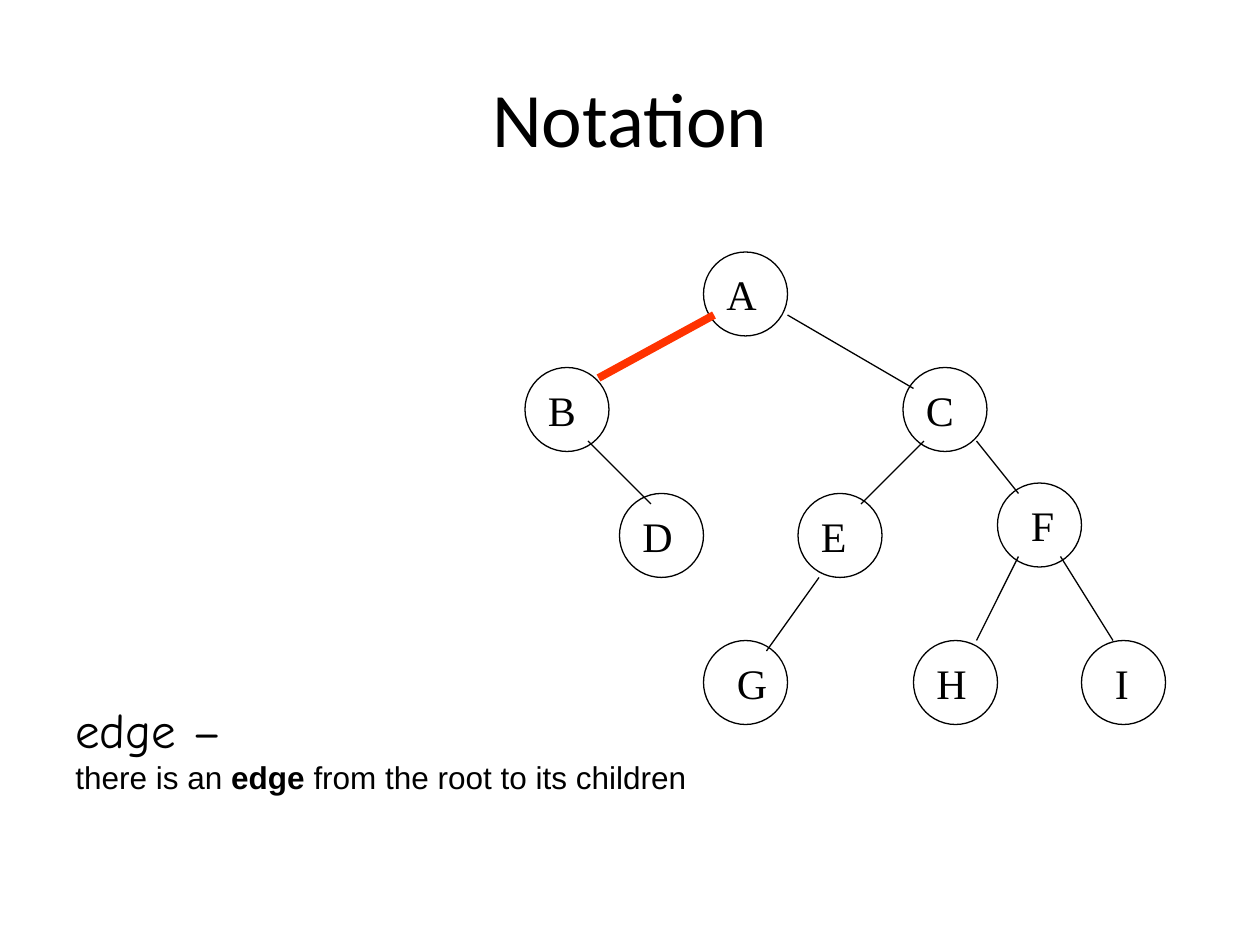
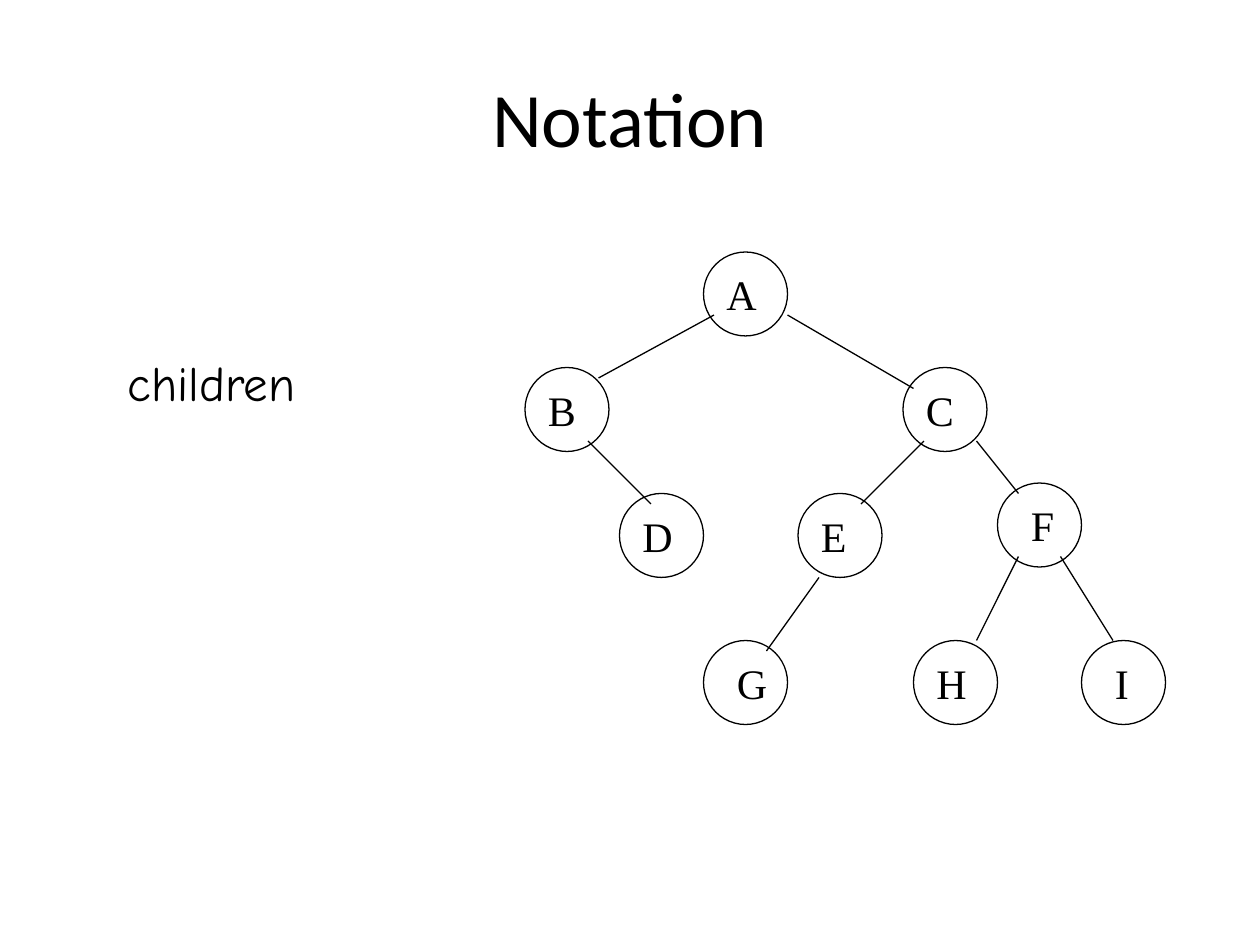
import pptx
import pptx.dml.color
import pptx.enum.shapes
import pptx.enum.text
import pptx.oxml.ns
import pptx.util
from lxml import etree

EMU_PER_PX = 9525
COLORS = {"ink": "000000", "highlight": "FF3300"}
FONTS = {"title": "Calibri", "node": "Times New Roman", "term": "Comic Neue", "body": "Arial"}

NODE_SIZE = 64
LABEL_HEIGHT = 48
LABEL_DROP = 8
# node: (left, top, label inset, label width)
NODES = {
    "A": (536, 192, 8, 42),
    "B": (400, 280, 8, 40),
    "C": (688, 280, 8, 40),
    "D": (472, 376, 8, 42),
    "E": (608, 376, 8, 38),
    "F": (760, 368, 16, 37),
    "G": (536, 488, 16, 42),
    "H": (696, 488, 8, 42),
    "I": (824, 488, 16, 30),
}
# parent and child: (start x, start y, end x, end y)
EDGES = {
    "AB": (544, 240, 456, 288),
    "AC": (600, 240, 696, 296),
    "BD": (448, 336, 496, 384),
    "CE": (704, 336, 656, 384),
    "CF": (744, 336, 776, 376),
    "EG": (624, 440, 584, 496),
    "FH": (776, 424, 744, 488),
    "FI": (808, 424, 848, 488),
}


def px(*lengths):
    return [pptx.util.Emu(length * EMU_PER_PX) for length in lengths]


def rgb(name):
    return pptx.dml.color.RGBColor.from_string(COLORS[name])


class Deck:
    """Holds the presentation, its shared style and the current slide."""

    def __init__(self):
        self.presentation = pptx.Presentation()
        self.presentation.slide_width, self.presentation.slide_height = px(960, 720)
        self.slide = None

    def add_slide(self, title):
        self.slide = self.presentation.slides.add_slide(self.presentation.slide_layouts[6])
        frame = self.add_text((48, 29, 864, 120), [[(title, "title", 44, False)]])
        frame.word_wrap = True
        frame.auto_size = pptx.enum.text.MSO_AUTO_SIZE.NONE
        frame.vertical_anchor = pptx.enum.text.MSO_ANCHOR.MIDDLE
        frame.paragraphs[0].alignment = pptx.enum.text.PP_ALIGN.CENTER

    def add_text(self, box, paragraphs):
        """Each paragraph is a list of runs: (text, font key, size, bold)."""
        frame = self.slide.shapes.add_textbox(*px(*box)).text_frame
        frame.word_wrap = False
        frame.auto_size = pptx.enum.text.MSO_AUTO_SIZE.SHAPE_TO_FIT_TEXT
        for index, runs in enumerate(paragraphs):
            paragraph = frame.add_paragraph() if index else frame.paragraphs[0]
            for text, font, size, bold in runs:
                run = paragraph.add_run()
                run.text = text
                run.font.name = FONTS[font]
                run.font.size = pptx.util.Pt(size)
                run.font.bold = bold
                run.font.color.rgb = rgb("ink")
        return frame

    def add_circle(self, left, top):
        shape = self.slide.shapes.add_shape(
            pptx.enum.shapes.MSO_SHAPE.OVAL, *px(left, top, NODE_SIZE, NODE_SIZE))
        shape.shadow.inherit = False
        shape.fill.background()
        shape.line.color.rgb = rgb("ink")
        shape.line.width = pptx.util.Pt(0.75)

    def add_edge(self, ends, color="ink", width=0.75):
        connector = self.slide.shapes.add_connector(
            pptx.enum.shapes.MSO_CONNECTOR.STRAIGHT, *px(*ends))
        connector.line.color.rgb = rgb(color)
        connector.line.width = pptx.util.Pt(width)
        properties = connector._element.spPr
        etree.SubElement(properties, pptx.oxml.ns.qn("a:effectLst"))

    def add_tree(self, highlighted=None):
        for left, top, _, _ in NODES.values():
            self.add_circle(left, top)
        for name, ends in EDGES.items():
            if name == highlighted:
                self.add_edge(ends, "highlight", 4.5)
            else:
                self.add_edge(ends)
        for name, (left, top, inset, width) in NODES.items():
            self.add_text((left + inset, top + LABEL_DROP, width, LABEL_HEIGHT),
                          [[(name, "node", 24, False)]])


def main():
    deck = Deck()

    deck.add_slide("Notation")
    deck.add_tree(highlighted="AB")
    deck.add_text((48, 528, 485, 84), [
        [("edge –", "term", 28, False)],
        [("there is an ", "body", 18, False),
         ("edge ", "body", 18, True),
         ("from the root to its children", "body", 18, False)],
    ])

    deck.add_slide("Notation")
    deck.add_tree()
    deck.add_text((88, 264, 160, 55), [[("children", "term", 28, False)]])

    deck.presentation.save("out.pptx")


if __name__ == "__main__":
    main()
